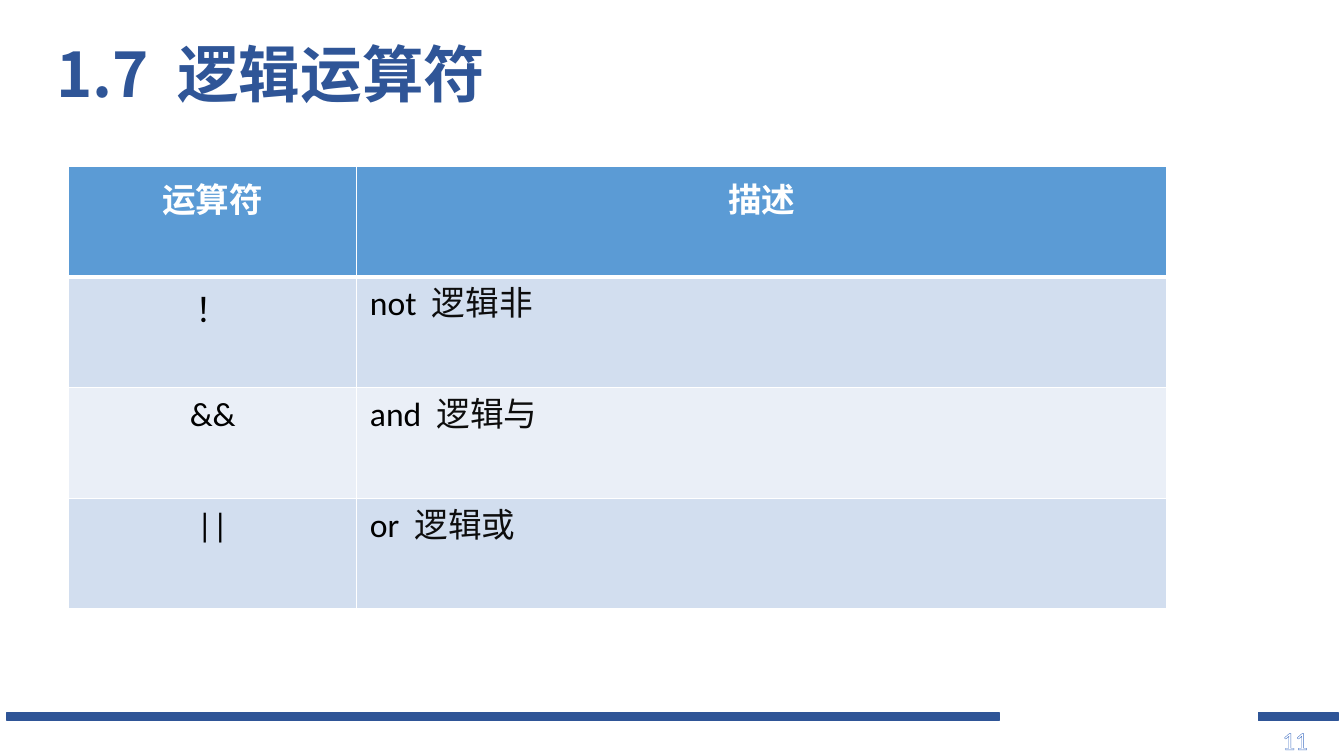
from lxml import etree
from pptx import Presentation
from pptx import util as u
from pptx.dml import color
from pptx.enum import shapes, text
from pptx.oxml import ns

HUES = {"navy": "2F5597", "head": "5B9BD5", "odd": "D2DEEF", "even": "EAEFF7",
        "white": "FFFFFF", "black": "000000", "ink": "0D0D0D",
        "hatch": "8FAADC", "edge": "4472C4"}
ROWS = [("！", "not", "逻辑非"), ("&&", "and", "逻辑与"), ("||", "or", "逻辑或")]


def rgb(name):
    return color.RGBColor.from_string(HUES[name])


def add(parent, tag, **attrs):
    node = etree.SubElement(parent, ns.qn(tag))
    for key, val in attrs.items():
        node.set(key, str(val))
    return node


def tint(parent, name):
    add(add(parent, "a:solidFill"), "a:srgbClr", val=HUES[name])


def put(para, words, size, face, hue, bold=False, gap=0):
    """Add one run; gap is extra letter spacing in points."""
    run = para.add_run()
    run.text = words
    run.font.size = u.Pt(size)
    run.font.bold = bold
    run.font.color.rgb = rgb(hue)
    run.font.name = face
    props = run._r.get_or_add_rPr()
    add(props, "a:ea", typeface="Noto Sans CJK SC" if face == "Calibri" else face)
    if gap:
        props.set("spc", str(gap * 100))


def head(slide, left, top, width, height):
    title = slide.shapes.title
    title.left, title.top, title.width, title.height = map(
        u.Inches, (left, top, width, height))
    frame = title.text_frame
    frame.word_wrap = True
    frame.auto_size = text.MSO_AUTO_SIZE.NONE
    frame.vertical_anchor = text.MSO_ANCHOR.MIDDLE
    para = frame.paragraphs[0]
    para.alignment = text.PP_ALIGN.LEFT
    para.line_spacing = 0.9
    face = "Noto Sans CJK SC"
    put(para, "1.7", 44, face, "navy", True)
    put(para, " ", 44, face, "navy", True, gap=10)
    put(para, "逻辑运算符", 44, face, "navy", True)


def dress(cell, hue, base):
    """Set the insets, white borders and fill of a cell."""
    cell.margin_left = cell.margin_right = u.Inches(0.13)
    cell.margin_top = cell.margin_bottom = u.Inches(0.07)
    props = cell._tc.get_or_add_tcPr()
    for side, wide in (("L", 1), ("R", 1), ("T", 1), ("B", base)):
        tint(add(props, f"a:ln{side}", w=u.Pt(wide)), "white")
    cell.fill.solid()
    cell.fill.fore_color.rgb = rgb(hue)


def grid(slide, left, top, width, height):
    table = slide.shapes.add_table(
        len(ROWS) + 1, 2, *map(u.Inches, (left, top, width, height))).table
    first = 2.86
    table.columns[0].width = u.Inches(first)
    table.columns[1].width = u.Inches(width - first)
    for cell, words in zip(table.rows[0].cells, ("运算符", "描述")):
        dress(cell, "head", 3)
        para = cell.text_frame.paragraphs[0]
        para.alignment = text.PP_ALIGN.CENTER
        put(para, words, 24, "Calibri", "white", True)
    for num, (sign, word, sense) in enumerate(ROWS, 1):
        cells = table.rows[num].cells
        for cell in cells:
            dress(cell, "odd" if num % 2 else "even", 1)
        mark, note = (cell.text_frame.paragraphs[0] for cell in cells)
        mark.alignment = text.PP_ALIGN.CENTER
        put(mark, sign, 24, "Calibri", "black")
        put(note, word, 24, "Calibri", "black")
        put(note, " ", 24, "Calibri", "black", gap=5.4)
        put(note, sense, 24, "Roboto", "ink")


def bar(slide, left, top, width, height):
    rect = slide.shapes.add_shape(shapes.MSO_SHAPE.RECTANGLE,
                                  *map(u.Inches, (left, top, width, height)))
    rect.shadow.inherit = False
    rect.fill.solid()
    rect.fill.fore_color.rgb = rgb("navy")
    rect.line.color.rgb = rgb("navy")
    rect.line.width = u.Pt(1)


def page(slide, left, top, width, height):
    """Add the page number, hatched and outlined."""
    box = slide.shapes.add_textbox(*map(u.Inches, (left, top, width, height)))
    box.text_frame.word_wrap = True
    run = box.text_frame.paragraphs[0].add_run()
    run.text = "11"
    run.font.size = u.Pt(18)
    props = run._r.get_or_add_rPr()
    tint(add(props, "a:ln", w=u.Pt(1)), "edge")
    hatch = add(props, "a:pattFill", prst="ltDnDiag")
    for tag, hue in (("a:fgClr", "hatch"), ("a:bgClr", "white")):
        add(add(hatch, tag), "a:srgbClr", val=HUES[hue])
    run.font.name = "Calibri"


def foot(slide, left, top, width, height):
    thick, last = 0.08, 0.79
    bar(slide, left, top, 9.84, thick)
    bar(slide, left + width - last, top, last, thick)
    page(slide, left + width - 0.65, top + 0.07, 0.6, height - 0.07)


def main():
    deck = Presentation()
    deck.slide_width, deck.slide_height = u.Inches(13.33), u.Inches(7.5)
    slide = deck.slides.add_slide(deck.slide_layouts[5])
    foot(slide, 0.07, 7.07, 13.2, 0.47)
    head(slide, 0.46, 0.04, 11.5, 1.45)
    grid(slide, 0.68, 1.65, 10.89, 4.39)
    deck.save("out.pptx")


if __name__ == "__main__":
    main()
